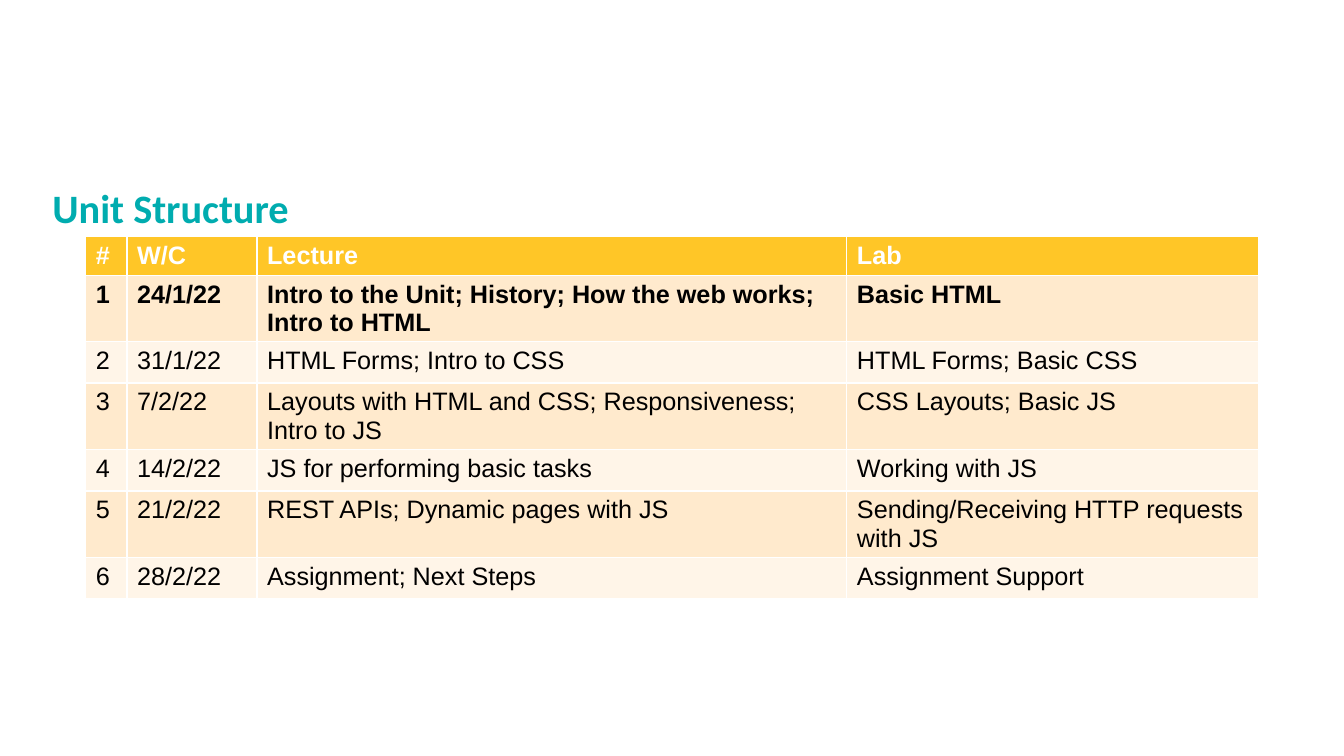
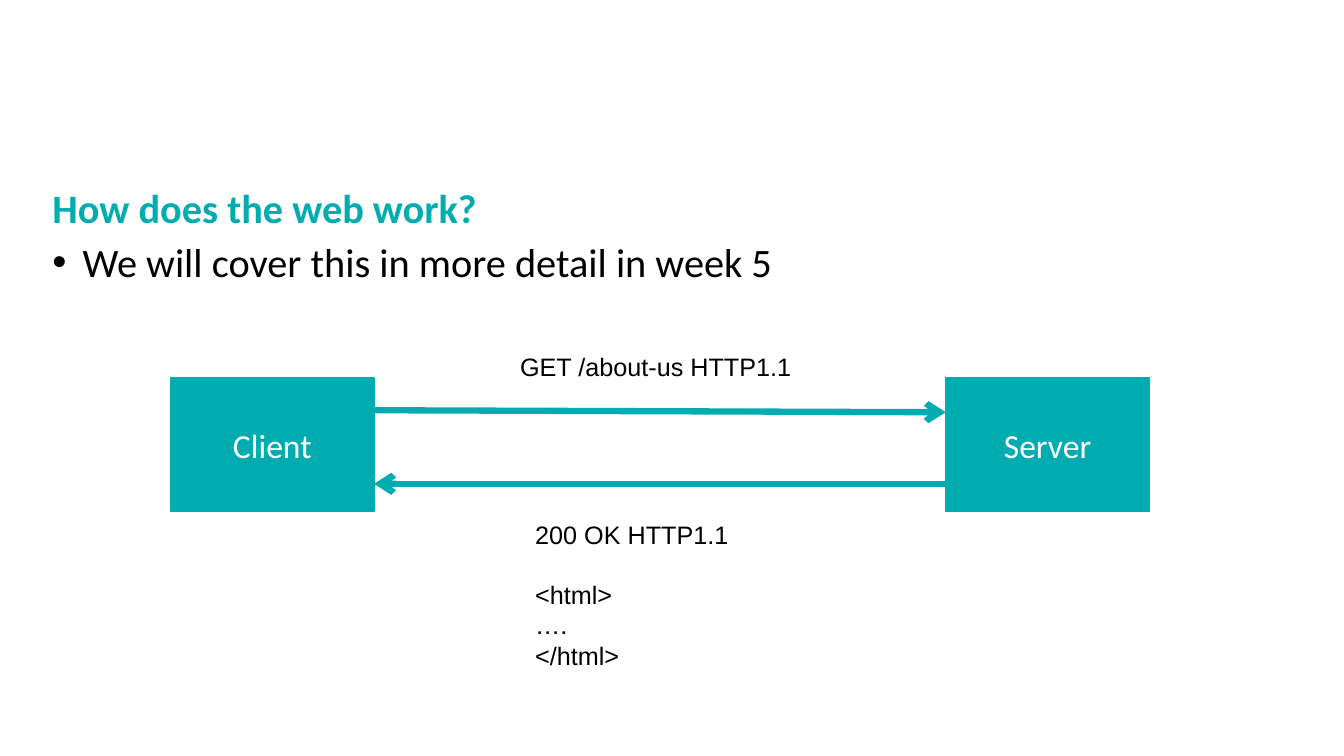
from lxml import etree
from pptx import Presentation
from pptx.dml.color import RGBColor
from pptx.enum.shapes import MSO_CONNECTOR, MSO_SHAPE
from pptx.enum.text import MSO_ANCHOR, MSO_AUTO_SIZE, PP_ALIGN
from pptx.oxml.ns import qn
from pptx.util import Inches, Pt

RECT = MSO_SHAPE.RECTANGLE
STRAIGHT = MSO_CONNECTOR.STRAIGHT
TOP, MIDDLE = MSO_ANCHOR.TOP, MSO_ANCHOR.MIDDLE
LEFT, CENTER = PP_ALIGN.LEFT, PP_ALIGN.CENTER
NO_AUTOFIT = MSO_AUTO_SIZE.NONE

TEAL = RGBColor(0x00, 0xAC, 0xAF)
AMBER = RGBColor(0xFF, 0xC6, 0x27)
BAND_DARK = RGBColor(0xFF, 0xEA, 0xCD)
BAND_LIGHT = RGBColor(0xFF, 0xF5, 0xE8)
BLACK = RGBColor(0x00, 0x00, 0x00)
WHITE = RGBColor(0xFF, 0xFF, 0xFF)

HEADING_FONT, TEXT_FONT = "Calibri", "Arial"
TITLE_ONLY, TITLE_AND_BODY = 5, 1

TITLE_BOX = (0.42, 1.81, 11.5, 0.55)
BODY_BOX = (0.42, 2.35, 12.5, 4.05)

SCHEDULE = [
    ("#", "W/C", "Lecture", "Lab"),
    ("1", "24/1/22",
     "Intro to the Unit; History; How the web works; Intro to HTML",
     "Basic HTML"),
    ("2", "31/1/22", "HTML Forms; Intro to CSS", "HTML Forms; Basic CSS"),
    ("3", "7/2/22", "Layouts with HTML and CSS; Responsiveness; Intro to JS",
     "CSS Layouts; Basic JS"),
    ("4", "14/2/22", "JS for performing basic tasks", "Working with JS"),
    ("5", "21/2/22", "REST APIs; Dynamic pages with JS",
     "Sending/Receiving HTTP requests with JS"),
    ("6", "28/2/22", "Assignment; Next Steps", "Assignment Support"),
]
COLUMN_WIDTHS = (0.41, 1.29, 5.85, 4.08)
HEADER_HEIGHT, ROW_HEIGHT = 0.37, 0.41
CURRENT_WEEK = 1


def inches(box):
    return [Inches(v) for v in box]


def write(p, text, size=18, font=TEXT_FONT, color=BLACK, bold=False,
          align=LEFT, spacing=None, before=0):
    """Put one formatted run into a paragraph."""
    r = p.add_run()
    r.text = text
    r.font.size = Pt(size)
    r.font.name = font
    r.font.bold = bold
    r.font.color.rgb = color
    p.alignment = align
    p.space_before = Pt(before)
    if spacing:
        p.line_spacing = spacing


def place(sp, box, anchor):
    """Move a placeholder and return its text frame."""
    sp.left, sp.top, sp.width, sp.height = inches(box)
    tf = sp.text_frame
    tf.auto_size = NO_AUTOFIT
    tf.word_wrap = True
    tf.vertical_anchor = anchor
    return tf


def add_slide(prs, layout, title):
    s = prs.slides.add_slide(prs.slide_layouts[layout])
    tf = place(s.shapes.title, TITLE_BOX, MIDDLE)
    write(tf.paragraphs[0], title, size=28.8, font=HEADING_FONT, color=TEAL,
          bold=True, spacing=0.9)
    return s


def add_bullets(s, box, items):
    tf = place(s.placeholders[1], box, TOP)
    for i, item in enumerate(items):
        p = tf.add_paragraph() if i else tf.paragraphs[0]
        write(p, item, size=28.8, font=HEADING_FONT, spacing=Pt(31.2),
              before=12)
        pPr = p._p.get_or_add_pPr()
        pPr.set("marL", str(Inches(0.3)))
        pPr.set("indent", str(-Inches(0.3)))


def add_schedule(s, left, top):
    height = HEADER_HEIGHT + ROW_HEIGHT * (len(SCHEDULE) - 1)
    box = inches((left, top, sum(COLUMN_WIDTHS), height))
    table = s.shapes.add_table(len(SCHEDULE), len(COLUMN_WIDTHS), *box).table
    for column, width in zip(table.columns, COLUMN_WIDTHS):
        column.width = Inches(width)
    for i, texts in enumerate(SCHEDULE):
        header = i == 0
        table.rows[i].height = Inches(HEADER_HEIGHT if header else ROW_HEIGHT)
        band = BAND_DARK if i % 2 else BAND_LIGHT
        for cell, text in zip(table.rows[i].cells, texts):
            cell.fill.solid()
            cell.fill.fore_color.rgb = AMBER if header else band
            write(cell.text_frame.paragraphs[0], text,
                  color=WHITE if header else BLACK,
                  bold=header or i == CURRENT_WEEK)


def add_node(s, box, label):
    sp = s.shapes.add_shape(RECT, *inches(box))
    sp.shadow.inherit = False
    sp.fill.solid()
    sp.fill.fore_color.rgb = TEAL
    sp.line.color.rgb = TEAL
    sp.line.width = Pt(1)
    tf = sp.text_frame
    tf.vertical_anchor = MIDDLE
    write(tf.paragraphs[0], label, size=24, font=HEADING_FONT, color=WHITE,
          align=CENTER)


def add_arrow(s, x1, y1, x2, y2):
    line = s.shapes.add_connector(STRAIGHT, *inches((x1, y1, x2, y2)))
    line.line.color.rgb = TEAL
    line.line.width = Pt(4.5)
    ln = line.line._get_or_add_ln()
    etree.SubElement(ln, qn("a:tailEnd"), type="arrow")
    etree.SubElement(line._element.spPr, qn("a:effectLst"))


def add_message(s, box, lines):
    """Lines of a message, each with the space before it in points."""
    tf = s.shapes.add_textbox(*inches(box)).text_frame
    tf.word_wrap = True
    for i, (text, before) in enumerate(lines):
        p = tf.add_paragraph() if i else tf.paragraphs[0]
        write(p, text, spacing=Pt(21.6), before=before)


def add_exchange(s, left, top, width):
    """Client and server with the request and response between them."""
    node_w, node_h = 2.02, 1.32
    client_edge = left + node_w
    server_edge = left + width - node_w
    # Nodes
    add_node(s, (left, top, node_w, node_h), "Client")
    add_node(s, (server_edge, top, node_w, node_h), "Server")
    # Request and response
    add_arrow(s, client_edge, top + 0.32, server_edge, top + 0.34)
    add_arrow(s, server_edge, top + 1.05, client_edge, top + 1.05)
    add_message(s, (client_edge + 1.35, top - 0.31, 2.96, 0.34),
                [("GET /about-us HTTP1.1", 0)])
    add_message(s, (client_edge + 1.5, top + 1.35, 2.96, 1.28),
                [("200 OK HTTP1.1", 0), ("<html>", 21.6), ("….", 0),
                 ("</html>", 0)])


def unit_structure(prs):
    s = add_slide(prs, TITLE_ONLY, "Unit Structure")
    add_schedule(s, 0.85, 2.35)


def how_the_web_works(prs):
    s = add_slide(prs, TITLE_AND_BODY, "How does the web work?")
    add_bullets(s, BODY_BOX, ["We will cover this in more detail in week 5"])
    add_exchange(s, 1.69, 3.75, 9.71)


prs = Presentation()
prs.slide_width, prs.slide_height = Inches(13.33), Inches(7.5)
unit_structure(prs)
how_the_web_works(prs)
prs.save("out.pptx")
